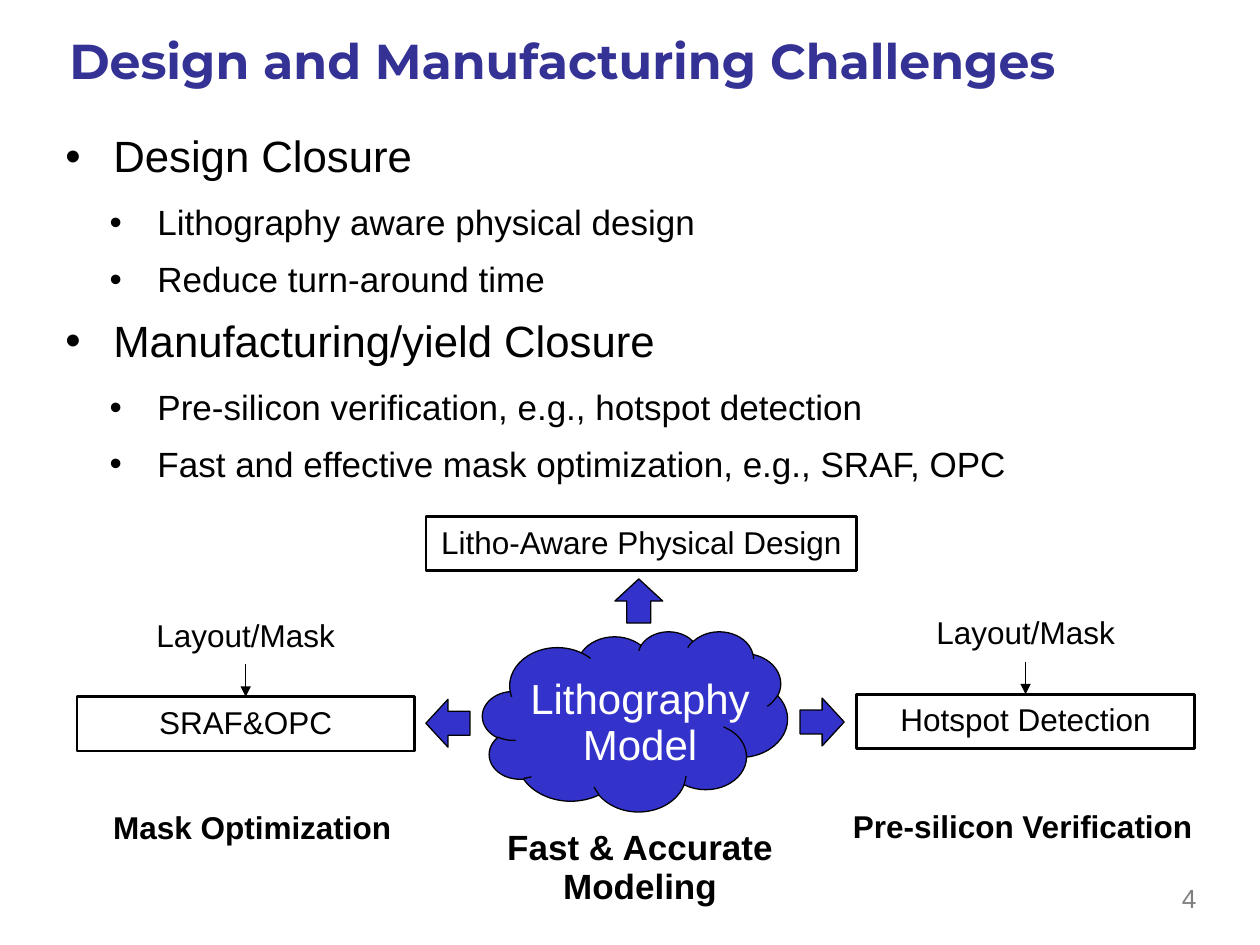
import pptx
import pptx.util
import pptx.dml.color
import pptx.enum.shapes
import pptx.enum.text
import pptx.oxml.ns
from lxml import etree

SHAPE = pptx.enum.shapes.MSO_SHAPE
ALIGN = pptx.enum.text.PP_ALIGN
ANCHOR = pptx.enum.text.MSO_ANCHOR
qn = pptx.oxml.ns.qn

COLORS = {"title": "353295", "ink": "000000", "fill": "3333CC",
          "light": "FFFFFF", "number": "808080"}
LABEL = {"size": 18}
CAPTION = {"size": 18, "bold": True}

prs = pptx.Presentation()
prs.slide_width, prs.slide_height = pptx.util.Inches(10), pptx.util.Inches(7.5)
COL, ROW = prs.slide_width / 100, prs.slide_height / 75  # grid of 100 x 75


def place(x, y, w, h):
    return [round(v * unit) for v, unit in zip((x, y, w, h), (COL, ROW) * 2)]


def rgb(name):
    return pptx.dml.color.RGBColor.from_string(COLORS[name])


def write(sp, lines, size, color="ink", name="Arial", bold=False,
          align=ALIGN.CENTER, anchor=ANCHOR.MIDDLE, wrap=True, inset=None,
          spacing=0.93):
    tf = sp.text_frame
    tf.word_wrap, tf.vertical_anchor = wrap, anchor
    if inset:
        tf.margin_left = tf.margin_right = round(inset * COL)
        tf.margin_top = tf.margin_bottom = round(inset / 2 * ROW)
    for i, line in enumerate(lines):
        p = tf.paragraphs[0] if i == 0 else tf.add_paragraph()
        p.alignment, p.line_spacing = align, spacing
        r = p.add_run()
        r.text = line
        font = {"name": name, "size": pptx.util.Pt(size), "bold": bold}
        for key, value in font.items():
            setattr(r.font, key, value)
        r.font.color.rgb = rgb(color)
    return tf


def text(s, box, lines, **style):
    return write(s.shapes.add_textbox(*place(*box)), lines, **style)


def shape(s, kind, box, fill=None, width=0.75):
    sp = s.shapes.add_shape(kind, *place(*box))
    sp.shadow.inherit = False
    if fill:
        sp.fill.solid()
        sp.fill.fore_color.rgb = rgb(fill)
    else:
        sp.fill.background()
    sp.line.color.rgb = rgb("ink")
    sp.line.width = pptx.util.Pt(width)
    return sp


def step(s, box, label):
    sp = shape(s, SHAPE.RECTANGLE, box, width=1.5)
    write(sp, [label], **LABEL)
    return sp


def title(s, box, words):
    text(s, box, [words], size=28, color="title", name="Montserrat", bold=True,
         align=ALIGN.LEFT, inset=0.8)


def bullets(s, box, items):
    tf = text(s, box, [words for level, words in items], size=25,
              align=ALIGN.LEFT, anchor=ANCHOR.TOP, inset=0.8)
    for p, (level, words) in zip(tf.paragraphs, items):
        p.level = level
        p.space_after = pptx.util.Pt((12.7, 10.1)[level])
        p.runs[0].font.size = pptx.util.Pt((25, 20)[level])
        pPr = p._p.get_or_add_pPr()
        pPr.set("marL", str(round((3.8, 7.3)[level] * COL)))
        pPr.set("indent", str(round(-3.8 * COL)))
        bu_color = etree.SubElement(pPr, qn("a:buClr"))
        etree.SubElement(bu_color, qn("a:srgbClr"), val=COLORS["ink"])
        etree.SubElement(pPr, qn("a:buFont"), typeface="Arial")
        etree.SubElement(pPr, qn("a:buChar"), char="•")


def flow(s, box, name, caption, caption_box):
    """Input label, arrow and step from top to bottom, with a caption below."""
    x, y, w, h = box
    row = 4.3
    text(s, (x, y, w, row), ["Layout/Mask"], **LABEL)
    target = step(s, (x, y + h - row, w, row), name)
    mid = x + w / 2
    x1, y1, x2, y2 = place(mid, y + row, mid, y + h - row)
    line = s.shapes.add_connector(pptx.enum.shapes.MSO_CONNECTOR.STRAIGHT,
                                  x1, y1, x2, y2)
    line.end_connect(target, 0)
    line.line.color.rgb = rgb("ink")
    line.line.width = pptx.util.Pt(0.75)
    etree.SubElement(line.line._get_or_add_ln(), qn("a:tailEnd"), type="triangle")
    etree.SubElement(line._element.spPr, qn("a:effectLst"))
    text(s, caption_box, [caption], align=ALIGN.LEFT, anchor=ANCHOR.TOP,
         wrap=False, **CAPTION)


def model(s, box):
    """Cloud with its name, a caption below and arrows to three sides."""
    x, y, w, h = box
    shape(s, SHAPE.CLOUD, box, "fill")
    text(s, (x + 2.7, y + 3.1, 19.6, 8.5), ["Lithography", "Model"], size=24,
         color="light", anchor=ANCHOR.TOP, wrap=False)
    text(s, (x + 0.5, y + h + 0.9, 24, 7.3), ["Fast & Accurate", "Modeling"],
         size=20, bold=True, anchor=ANCHOR.TOP, wrap=False)
    arrow_w, arrow_h = 3.5, 3.8
    arrows = [(x + w + 1, y + 5.3, 0), (x - 1 - arrow_w, y + 5.4, 180),
              (x + (w - arrow_w) / 2 + 0.3, y - 4.3, 270)]
    for left, top, turn in arrows:
        sp = shape(s, SHAPE.RIGHT_ARROW, (left, top, arrow_w, arrow_h), "fill")
        sp.rotation = turn


def main():
    s = prs.slides.add_slide(prs.slide_layouts[6])
    title(s, (4.7, 1.1, 90.4, 7.8), "Design and Manufacturing Challenges")
    bullets(s, (4.4, 10.2, 91.6, 58.4), [
        (0, "Design Closure"),
        (1, "Lithography aware physical design"),
        (1, "Reduce turn-around time"),
        (0, "Manufacturing/yield Closure"),
        (1, "Pre-silicon verification, e.g., hotspot detection"),
        (1, "Fast and effective mask optimization, e.g., SRAF, OPC")])
    # Diagram
    model(s, (38.3, 50.1, 24.2, 14.3))
    step(s, (33.8, 41, 34.2, 4.3), "Litho-Aware Physical Design")
    flow(s, (6.1, 48.4, 26.8, 11.2), "SRAF&OPC",
         "Mask Optimization", (8, 63.9, 24.3, 3.8))
    flow(s, (68, 48.2, 26.8, 11.2), "Hotspot Detection",
         "Pre-silicon Verification", (66.7, 63.8, 29.2, 3.8))
    # Slide number
    text(s, (93, 69.6, 8.6 - 1.6, 3.3), ["4"], size=15, color="number",
         align=ALIGN.LEFT, anchor=ANCHOR.TOP, inset=0.8, spacing=1.0)
    prs.save("out.pptx")


if __name__ == "__main__":
    main()
